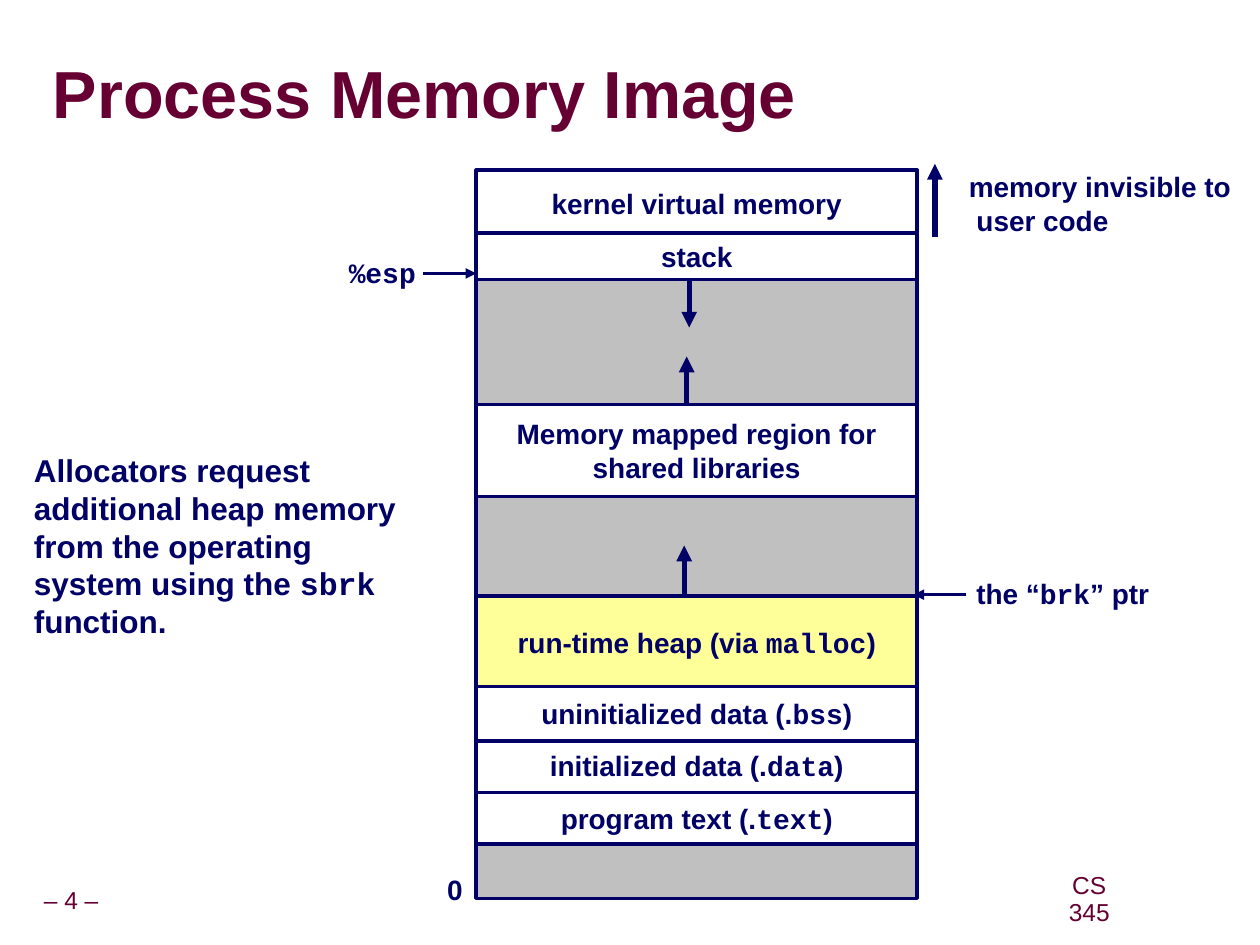
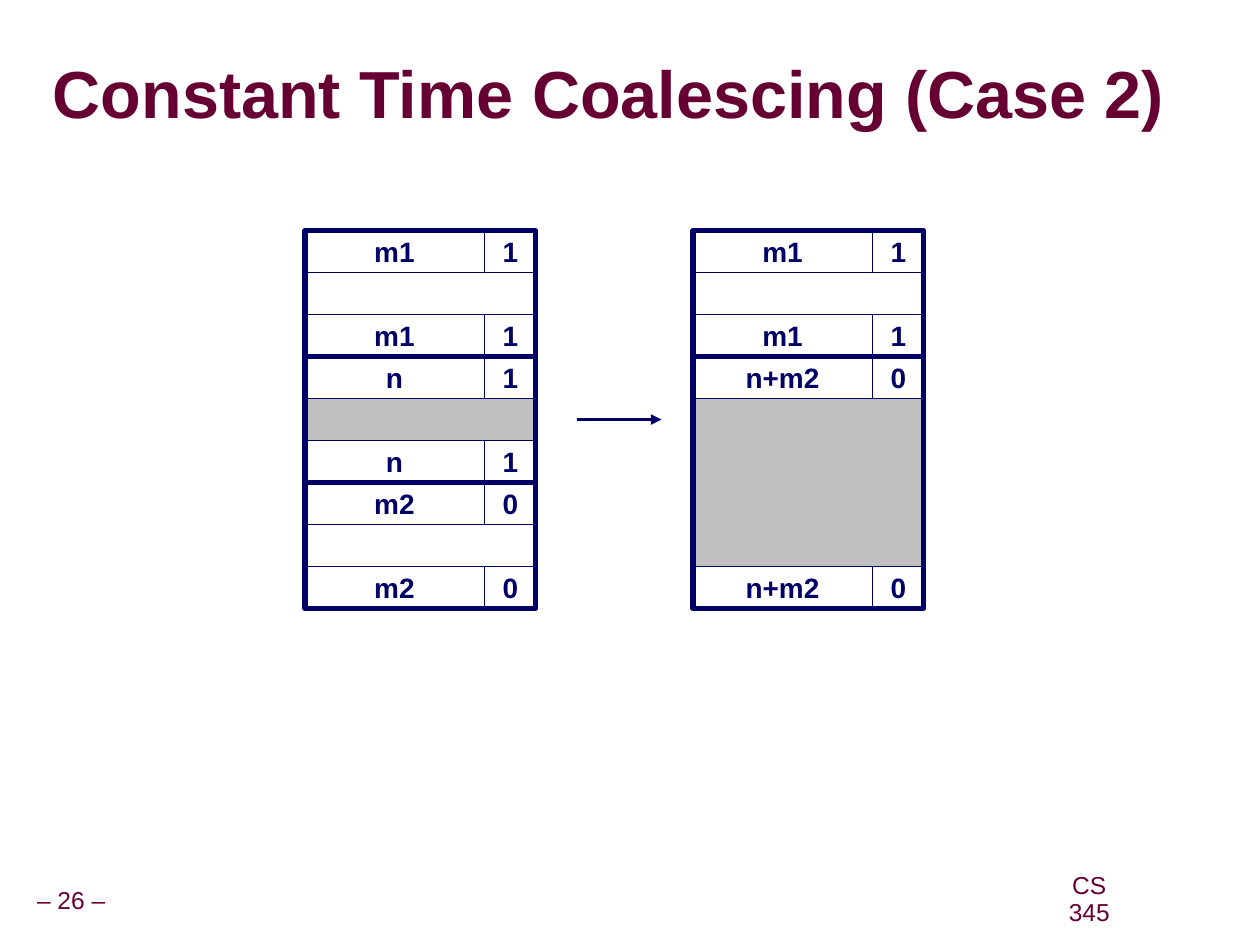
from dataclasses import dataclass

from lxml.etree import SubElement as add_xml
from pptx import Presentation
from pptx.dml.color import RGBColor as RGB
from pptx.enum.shapes import MSO_CONNECTOR as Connector, MSO_SHAPE as Shape
from pptx.enum.text import MSO_ANCHOR as Anchor, MSO_AUTO_SIZE as AutoSize, PP_ALIGN as Align
from pptx.oxml.ns import qn
from pptx.util import Inches, Pt


@dataclass(frozen=True)
class Theme:
    navy: RGB = RGB(0x00, 0x00, 0x66)
    maroon: RGB = RGB(0x66, 0x00, 0x33)
    white: RGB = RGB(0xFF, 0xFF, 0xFF)
    gray: RGB = RGB(0xC0, 0xC0, 0xC0)
    yellow: RGB = RGB(0xFF, 0xFF, 0x99)
    sans: str = "Arial"
    mono: str = "Courier New"
    title_size: int = 38
    note_size: int = 18
    label_size: int = 16
    footer_size: int = 14
    hairline: float = 0.25
    medium: float = 2
    heavy: float = 3


THEME = Theme()
LABEL_INSETS = (0.1, 0.05)
FOOTER_INSETS = (0.05, 0.05)
ROW = 1 / 3
SIZE_WIDTH, FLAG_WIDTH = 1.42, 0.42
BLOCK_WIDTH = 1.83


def write(frame, lines, size, color=THEME.navy, bold=True, align=Align.LEFT,
          anchor=Anchor.TOP, insets=LABEL_INSETS, wrap=False, spacing=None):
    """Write lines of text; parts between backticks are monospaced."""
    frame.word_wrap = wrap
    frame.vertical_anchor = anchor
    frame.margin_left = frame.margin_right = Inches(insets[0])
    frame.margin_top = frame.margin_bottom = Inches(insets[1])
    for index, line in enumerate(lines):
        paragraph = frame.add_paragraph() if index else frame.paragraphs[0]
        paragraph.alignment = align
        if spacing:
            paragraph.line_spacing = spacing
        for position, part in enumerate(line.split("`")):
            if part:
                run = paragraph.add_run()
                run.text = part
                run.font.name = THEME.mono if position % 2 else THEME.sans
                run.font.size = Pt(size)
                run.font.bold = bold
                run.font.color.rgb = color


def add_text(slide, at, lines, size=THEME.label_size, **style):
    box = slide.shapes.add_textbox(*map(Inches, at))
    write(box.text_frame, lines, size, **style)
    box.text_frame.auto_size = AutoSize.SHAPE_TO_FIT_TEXT
    return box


def add_box(slide, at, fill, weight, lines=()):
    box = slide.shapes.add_shape(Shape.RECTANGLE, *map(Inches, at))
    box.shadow.inherit = False
    if fill is None:
        box.fill.background()
    else:
        box.fill.solid()
        box.fill.fore_color.rgb = fill
    box.line.color.rgb = THEME.navy
    box.line.width = Pt(weight)
    if lines:
        write(box.text_frame, lines, THEME.label_size, align=Align.CENTER, anchor=Anchor.MIDDLE)


def add_arrow(slide, start, end, weight=THEME.medium):
    arrow = slide.shapes.add_connector(Connector.STRAIGHT, *map(Inches, start + end))
    arrow.line.color.rgb = THEME.navy
    arrow.line.width = Pt(weight)
    add_xml(arrow.line._get_or_add_ln(), qn("a:tailEnd"), type="triangle")
    add_xml(arrow._element.spPr, qn("a:effectLst"))


def add_title(slide, title, width):
    box = slide.shapes.add_textbox(*map(Inches, (0.42, 0.46, width, 0.63)))
    write(box.text_frame, [title], THEME.title_size, THEME.maroon, anchor=Anchor.MIDDLE,
          insets=(0, 0), wrap=True, spacing=0.87)
    properties = box.text_frame.paragraphs[0].runs[0].font._element
    effects = properties.makeelement(qn("a:effectLst"), {})
    properties.find(qn("a:solidFill")).addnext(effects)
    shadow = add_xml(effects, qn("a:outerShdw"), dist="53882", dir="2700000")
    add_xml(shadow, qn("a:srgbClr"), val=str(THEME.gray))


def start_slide(deck, title, title_width, number):
    slide = deck.slides.add_slide(deck.slide_layouts[6])
    footers = [((-0.09, 7, 1.31, 0.31), f"– {number} –"), ((8.27, 6.99, 0.75, 0.31), "CS 345")]
    for at, footer in footers:
        add_text(slide, at, [footer], THEME.footer_size, color=THEME.maroon, bold=False,
                 align=Align.CENTER, anchor=Anchor.MIDDLE, insets=FOOTER_INSETS, spacing=0.9)
    add_title(slide, title, title_width)
    return slide


def add_memory_block(slide, left, top, rows, size, flag, payload=THEME.white):
    add_box(slide, (left, top + ROW, BLOCK_WIDTH, (rows - 2) * ROW), payload, THEME.hairline)
    for tag_top in (top, top + (rows - 1) * ROW):
        add_box(slide, (left, tag_top, SIZE_WIDTH, ROW), THEME.white, THEME.hairline, [size])
        add_box(slide, (left + SIZE_WIDTH, tag_top, FLAG_WIDTH, ROW), THEME.white,
                THEME.hairline, [flag])
    add_box(slide, (left, top, BLOCK_WIDTH, rows * ROW), None, THEME.heavy)


def add_heap(slide, left, top, blocks):
    for rows, *content in blocks:
        add_memory_block(slide, left, top, rows, *content)
        top += rows * ROW


def build_memory_image(deck):
    slide = start_slide(deck, "Process Memory Image", 7.17, 4)
    regions = [
        (1.35, 0.53, THEME.white, ["kernel virtual memory"]),
        (1.85, 0.37, THEME.white, ["stack"]),
        (2.22, 0.99, THEME.gray, []),
        (3.21, 0.73, THEME.white, ["Memory mapped region for", "shared libraries"]),
        (3.94, 0.79, THEME.gray, []),
        (4.73, 0.73, THEME.yellow, ["run-time heap (via `malloc`)"]),
        (6.28, 0.43, THEME.white, ["program text (.`text`)"]),
        (5.86, 0.43, THEME.white, ["initialized data (.`data`)"]),
        (5.45, 0.43, THEME.white, ["uninitialized data (.`bss`)"]),
        (6.7, 0.43, THEME.gray, []),
    ]
    for top, height, fill, lines in regions:
        add_box(slide, (3.78, top, 3.5, height), fill, THEME.medium, lines)

    growth = [(5.43, 4.72, 4.33), (5.45, 3.21, 2.83), (5.47, 2.22, 2.6), (7.42, 1.88, 1.3)]
    for x, start, end in growth:
        add_arrow(slide, (x, start), (x, end), THEME.heavy)
    add_arrow(slide, (3.36, 2.17), (3.78, 2.17))
    add_arrow(slide, (7.67, 4.72), (7.25, 4.72))

    add_text(slide, (3.45, 6.88, 0.32, 0.37), ["0"])
    add_text(slide, (2.67, 1.98, 0.73, 0.37), ["`%esp`"])
    add_text(slide, (7.59, 1.3, 2.28, 0.64), ["memory invisible to", " user code"])
    add_text(slide, (7.65, 4.53, 1.57, 0.37), ["the “`brk`” ptr"])
    add_text(slide, (0.17, 3.53, 3.25, 1.6),
             ["Allocators request", "additional heap memory",
              "from the operating system using the `sbrk` function."],
             THEME.note_size, wrap=True)


def build_coalescing(deck):
    slide = start_slide(deck, "Constant Time Coalescing (Case 2)", 9.08, 26)
    previous = (3, "m1", "1")
    add_heap(slide, 2.42, 1.83, [previous, (3, "n", "1", THEME.gray), (3, "m2", "0")])
    add_heap(slide, 5.5, 1.83, [previous, (6, "n+m2", "0", THEME.gray)])
    add_arrow(slide, (4.58, 3.33), (5.25, 3.33))


def main():
    deck = Presentation()
    deck.slide_width, deck.slide_height = Inches(10), Inches(7.5)
    build_memory_image(deck)
    build_coalescing(deck)
    deck.save("out.pptx")


if __name__ == "__main__":
    main()
